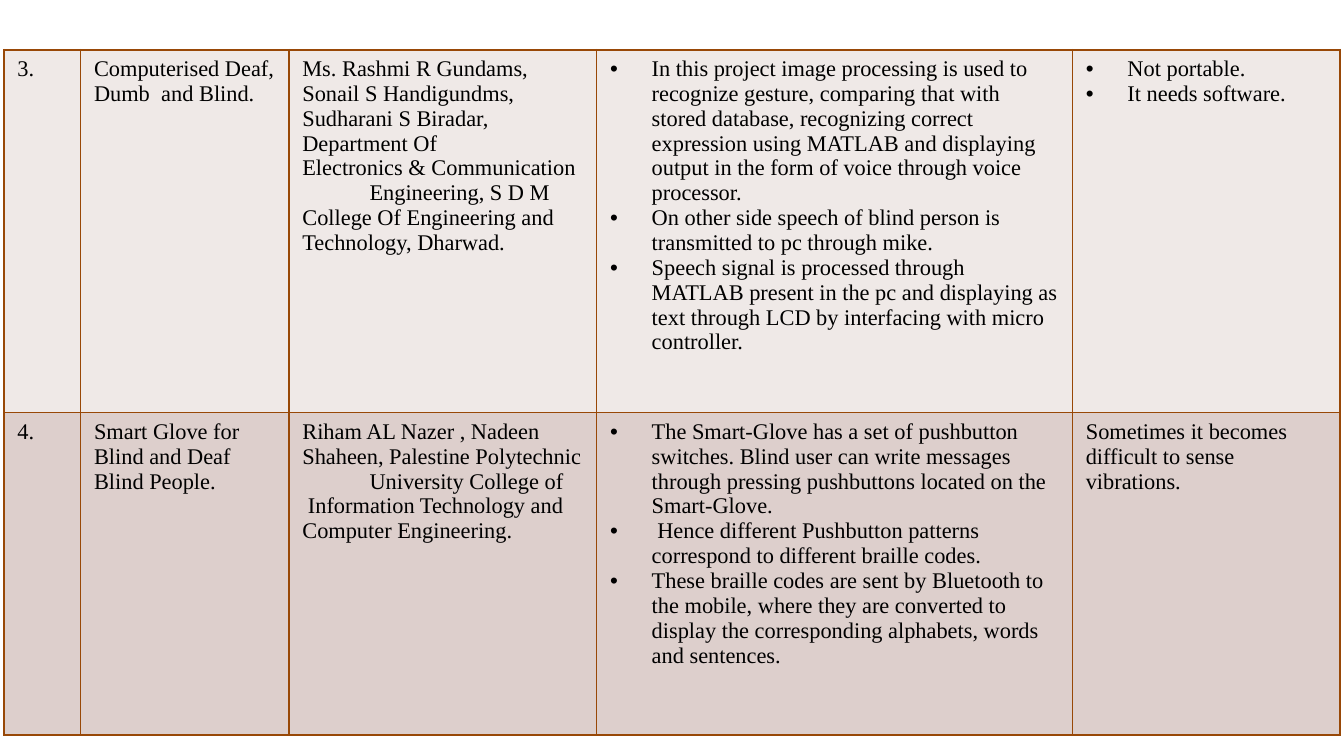
from lxml.etree import SubElement
from pptx import Presentation
from pptx.dml.color import RGBColor
from pptx.oxml.ns import qn
from pptx.util import Inches, Pt

COLORS = {"text": "000000", "border": "984807", "light": "EFE9E7", "dark": "DDCFCC"}
BULLET_INDENT = 0.31
COLUMN_WIDTHS = [0.57, 1.55, 2.29, 3.54, 1.99]
ROW_HEIGHTS = [2.7, 2.4]


def plain(*paragraphs, tab=None):
    """In the text, \\v is a line break and \\t goes to the tab stop (inches)."""
    return [(text, {"tab": tab}) for text in paragraphs]


def bullets(*paragraphs):
    return [(text, {"indent": BULLET_INDENT, "bullet": True}) for text in paragraphs]


PROJECTS = [
    [
        plain("3."),
        plain("Computerised Deaf, Dumb\tand Blind.", tab=0.59),
        plain(
            "Ms. Rashmi R Gundams, Sonail S Handigundms, Sudharani S Biradar, "
            "Department Of\vElectronics & Communication\v\tEngineering, S D M\v"
            "College Of Engineering and",
            "Technology, Dharwad.",
            tab=0.67,
        ),
        bullets(
            "In this project image processing is used to recognize gesture, comparing "
            "that with stored database, recognizing correct expression using MATLAB and "
            "displaying output in the form of voice through voice processor.",
            "On other side speech of blind person is transmitted to pc through mike.",
            "Speech signal is processed through MATLAB present in the pc and displaying "
            "as text through LCD by interfacing with micro controller.",
        ),
        bullets("Not portable.", "It needs software."),
    ],
    [
        plain("4."),
        plain("Smart Glove for Blind and Deaf Blind People."),
        plain(
            "Riham AL Nazer , Nadeen Shaheen, Palestine Polytechnic\v"
            "\tUniversity College of\v Information Technology and\vComputer Engineering.",
            tab=0.13,
        ),
        bullets(
            "The Smart-Glove has a set of pushbutton switches. Blind user can write "
            "messages through pressing pushbuttons located on the Smart-Glove.",
            " Hence different Pushbutton patterns correspond to different braille codes.",
            "These braille codes are sent by Bluetooth to the mobile, where they are "
            "converted to display the corresponding alphabets, words and sentences.",
        ),
        plain("Sometimes it becomes difficult to sense vibrations."),
    ],
]


def write_text(paragraph, text, *, font, size, color, indent=0, bullet=False, tab=None):
    properties = paragraph._p.get_or_add_pPr()
    properties.set("marL", str(Inches(indent)))
    properties.set("indent", str(-Inches(indent) if bullet else 0))
    if bullet:
        SubElement(properties, qn("a:buFont"), typeface="Arial")
        SubElement(properties, qn("a:buChar"), char="•")
    if tab:
        stops = SubElement(properties, qn("a:tabLst"))
        SubElement(stops, qn("a:tab"), pos=str(Inches(tab)), algn="l")
    for number, line in enumerate(text.split("\v")):
        if number:
            paragraph.add_line_break()
        run = paragraph.add_run()
        run.text = line
        run.font.name = font
        run.font.size = Pt(size)
        run.font.color.rgb = RGBColor.from_string(COLORS[color])


class SlideBuilder:
    """Holds the text style and the slide being filled."""

    def __init__(self, slide, font="Times New Roman", size=12):
        self.slide = slide
        self.style = {"font": font, "size": size, "color": "text"}

    def table(self, left, top, rows, column_widths, row_heights, fills):
        frame = self.slide.shapes.add_table(
            len(rows), len(column_widths), Inches(left), Inches(top),
            Inches(sum(column_widths)), Inches(sum(row_heights)))
        table = frame.table
        for column, width in zip(table.columns, column_widths):
            column.width = Inches(width)
        for row, height, contents, fill in zip(table.rows, row_heights, rows, fills):
            row.height = Inches(height)
            for cell, paragraphs in zip(row.cells, contents):
                self.cell(cell, paragraphs, fill)

    def cell(self, cell, paragraphs, fill):
        self.borders(cell)
        cell.fill.solid()
        cell.fill.fore_color.rgb = RGBColor.from_string(COLORS[fill])
        frame = cell.text_frame
        for number, (text, options) in enumerate(paragraphs):
            paragraph = frame.add_paragraph() if number else frame.paragraphs[0]
            write_text(paragraph, text, **self.style, **options)

    def borders(self, cell, width=1):
        properties = cell._tc.get_or_add_tcPr()
        for side in ("lnL", "lnR", "lnT", "lnB"):
            line = SubElement(properties, qn(f"a:{side}"), w=str(Pt(width)))
            fill = SubElement(line, qn("a:solidFill"))
            SubElement(fill, qn("a:srgbClr"), val=COLORS["border"])


def main():
    presentation = Presentation()
    presentation.slide_width = Inches(10)
    presentation.slide_height = presentation.slide_width * 9 // 16
    slide = presentation.slides.add_slide(presentation.slide_layouts[6])
    builder = SlideBuilder(slide)
    builder.table(0.03, 0.37, PROJECTS, COLUMN_WIDTHS, ROW_HEIGHTS, ["light", "dark"])
    presentation.save("out.pptx")


if __name__ == "__main__":
    main()
